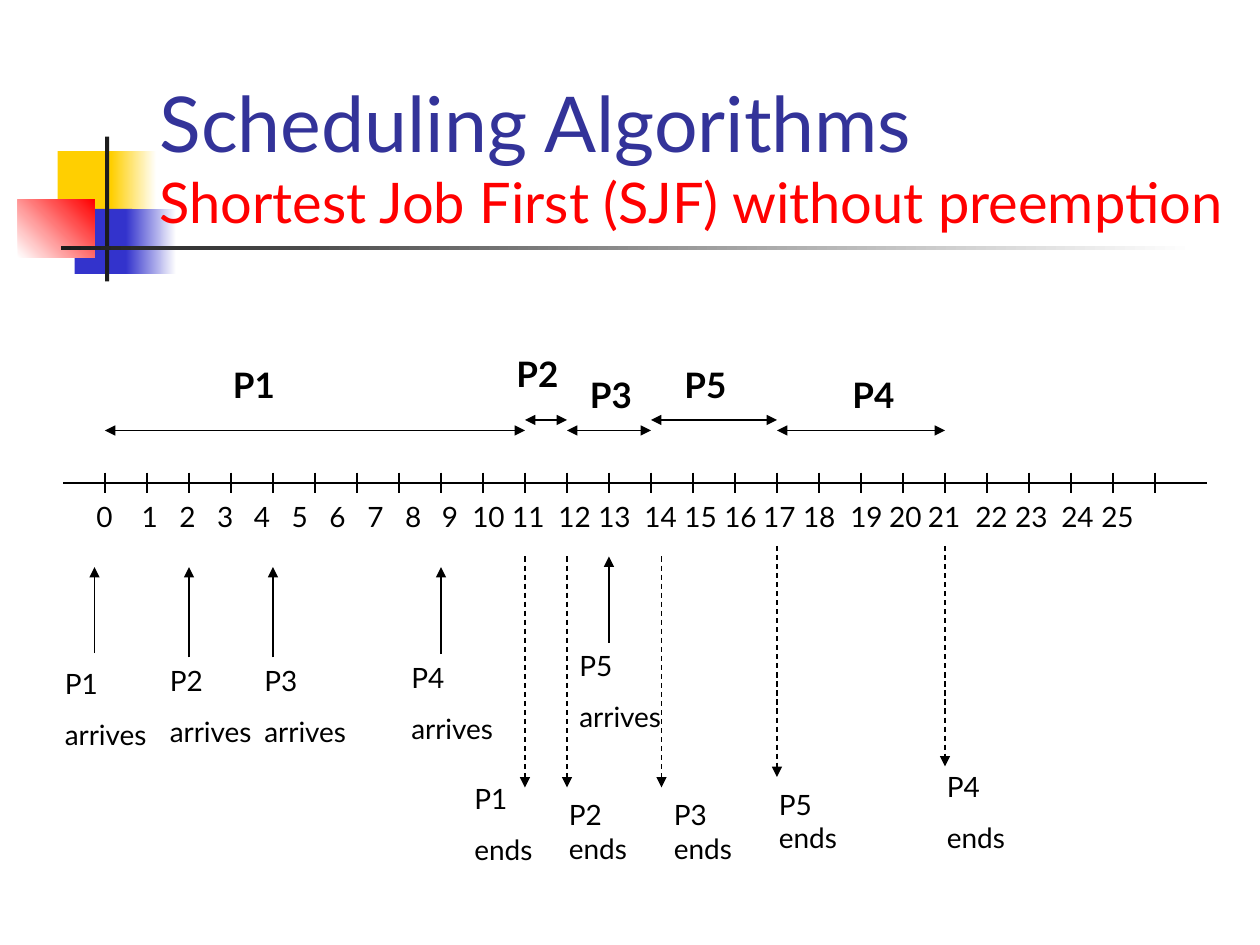
from lxml.etree import SubElement
from pptx import Presentation
from pptx.dml.color import RGBColor
from pptx.enum.dml import MSO_LINE
from pptx.enum.shapes import MSO_CONNECTOR, MSO_SHAPE
from pptx.enum.text import MSO_ANCHOR, MSO_AUTO_SIZE
from pptx.oxml.ns import qn
from pptx.util import Emu, Pt

PX = 7620
UNIT = 40
BLACK = "000000"
DARK = "1C1C1C"
WHITE = "FFFFFF"
YELLOW = "FFCF01"
BLUE = "3333CC"
NUMBER_STARTS = [0, 43, 79, 115, 150, 186, 222, 258, 294, 329, 358, 396, 440,
                 478, 522, 560, 598, 635, 673, 718, 755, 792, 837, 875, 919, 957]
BLOCKS = [
    (55, 144, 58, 62, YELLOW, None, 0),
    (106, 144, 43, 62, YELLOW, WHITE, 0),
    (71, 199, 55, 62, BLUE, None, 0),
    (120, 199, 48, 62, BLUE, WHITE, 0),
    (17, 190, 73, 55, WHITE, "FF0000", 45),
    (100, 130, 4, 138, DARK, None, 0),
    (58, 234, 1080, 4, DARK, WHITE, 0),
]
SPANS = [
    ("P1", 0, 10, 80, 110, 10),
    ("P2", 10, 11, 70, -20, 0),
    ("P3", 11, 13, 80, 10, 20),
    ("P4", 16, 20, 80, 60, 20),
    ("P5", 13, 16, 70, 20, 10),
]
ARRIVALS = [
    ("P1", 90, 540, 622, 50, 629, 130),
    ("P2", 180, 540, 626, 150, 626, 110),
    ("P3", 260, 540, 626, 240, 626, 150),
    ("P4", 420, 540, 623, 380, 623, 130),
    ("P5", 580, 530, 612, 540, 612, 140),
]
ENDINGS = [
    (["P1", "ends"], 500, 530, 750, 440, 738, 80),
    (["P2 ends"], 540, 530, 750, 530, 754, 100),
    (["P3 ends"], 630, 530, 750, 630, 754, 80),
    (["P4", "ends"], 900, 520, 730, 890, 727, 90),
    (["P5 ends"], 740, 520, 740, 730, 744, 100),
]


def px(length):
    """Turn px into EMU."""
    return Emu(length * PX)


def color(value):
    """Turn a hex string into a colour."""
    return RGBColor.from_string(value)


def write(paragraph, text, size=16, fill=BLACK, bold=False):
    """Add a formatted run to a paragraph."""
    run = paragraph.add_run()
    run.text = text
    run.font.name = "Lato"
    run.font.size = Pt(size)
    run.font.bold = bold
    run.font.color.rgb = color(fill)


def add_label(slide, lines, box, before=10, **style):
    """Place a wrapped text box with one paragraph per line."""
    frame = slide.shapes.add_textbox(*map(px, box)).text_frame
    frame.word_wrap = True
    for index, line in enumerate(lines):
        paragraph = frame.add_paragraph() if index else frame.paragraphs[0]
        paragraph.space_before = Pt(before)
        write(paragraph, line, **style)
    return frame


def add_line(slide, start, end, heads=(), dashed=False):
    """Draw a thin straight line with optional arrowheads."""
    connector = slide.shapes.add_connector(
        MSO_CONNECTOR.STRAIGHT, *map(px, (*start, *end)))
    connector.line.color.rgb = color(BLACK)
    connector.line.width = Pt(0.75)
    if dashed:
        connector.line.dash_style = MSO_LINE.DASH
    properties = connector.element.spPr
    for head in heads:
        SubElement(properties.find(qn("a:ln")), qn(head)).set("type", "triangle")
    SubElement(properties, qn("a:effectLst"))


def add_block(slide, box, first, last=None, angle=0):
    """Place a rectangle with a solid or two-colour gradient fill."""
    block = slide.shapes.add_shape(MSO_SHAPE.RECTANGLE, *map(px, box))
    block.shadow.inherit = False
    block.line.fill.background()
    if last is None:
        block.fill.solid()
        block.fill.fore_color.rgb = color(first)
        return
    block.fill.gradient()
    block.fill.gradient_angle = angle
    for stop, shade, position in zip(block.fill.gradient_stops, (first, last), (0, 1)):
        stop.color.rgb = color(shade)
        stop.position = position


def add_decoration(slide, left, top):
    """Place the coloured blocks and the rule beside the title."""
    for x, y, width, height, first, last, angle in BLOCKS:
        add_block(slide, (left + x, top + y, width, height), first, last, angle)


def fill_title(slide, left, top, width, height):
    """Move and fill the title placeholder, in front of the decoration."""
    title = slide.shapes.title
    title.left, title.top, title.width, title.height = map(px, (left, top, width, height))
    title.element.getparent().append(title.element)
    frame = title.text_frame
    frame.auto_size = MSO_AUTO_SIZE.NONE
    frame.vertical_anchor = MSO_ANCHOR.BOTTOM
    heading = frame.paragraphs[0]
    heading.alignment = 1
    write(heading, "Scheduling Algorithms", size=44, fill="333399")
    heading.add_line_break()
    write(heading, "Shortest Job First (SJF) without preemption", size=32, fill="FF0000")


def add_timeline(slide, left, top, width):
    """Draw the axis, its ticks and the row of numbers."""
    add_line(slide, (left, top + 10), (left + width, top + 10))
    for tick in range(26):
        x = left + UNIT * (tick + 1)
        add_line(slide, (x, top), (x, top + 20))
    numbers = "\t".join(map(str, range(26)))
    frame = add_label(slide, [numbers], (left + 20, top + 20, 1060, 44))
    stops = SubElement(frame.paragraphs[0]._p.get_or_add_pPr(), qn("a:tabLst"))
    for start in NUMBER_STARTS[1:]:
        stop = SubElement(stops, qn("a:tab"))
        stop.set("pos", str(px(start)))
        stop.set("algn", "l")


def add_spans(slide, left, top):
    """Draw each process's running time as a named double arrow."""
    for process, begin, end, drop, shift, label_drop in SPANS:
        x, y = left + UNIT * begin, top + drop
        add_line(slide, (x, y), (left + UNIT * end, y), heads=("a:headEnd", "a:tailEnd"))
        add_label(slide, [process], (x + shift, top + label_drop, 70, 53),
                  before=12.5, size=20, bold=True)


def add_arrivals(slide, left, top):
    """Draw an upward arrow and a caption for each arrival."""
    for process, x, tip, base, label_x, label_y, width in ARRIVALS:
        add_line(slide, (left + x, top + base), (left + x, top + tip), heads=("a:tailEnd",))
        add_label(slide, [process, "arrives"], (left + label_x, top + label_y, width, 92))


def add_endings(slide, left, top):
    """Draw a dashed downward arrow and a caption for each ending."""
    for lines, x, base, tip, label_x, label_y, width in ENDINGS:
        add_line(slide, (left + x, top + base), (left + x, top + tip),
                 heads=("a:tailEnd",), dashed=True)
        add_label(slide, lines, (left + label_x, top + label_y, width, 92))


def main():
    """Build and save the slide."""
    presentation = Presentation()
    presentation.slide_width, presentation.slide_height = px(1200), px(900)
    slide = presentation.slides.add_slide(presentation.slide_layouts[5])
    add_decoration(slide, 0, 0)
    fill_title(slide, 140, 80, 1060, 150)
    add_timeline(slide, 60, 450, 1090)
    add_spans(slide, 100, 330)
    add_arrivals(slide, 0, 0)
    add_endings(slide, 0, 0)
    presentation.save("out.pptx")


if __name__ == "__main__":
    main()
